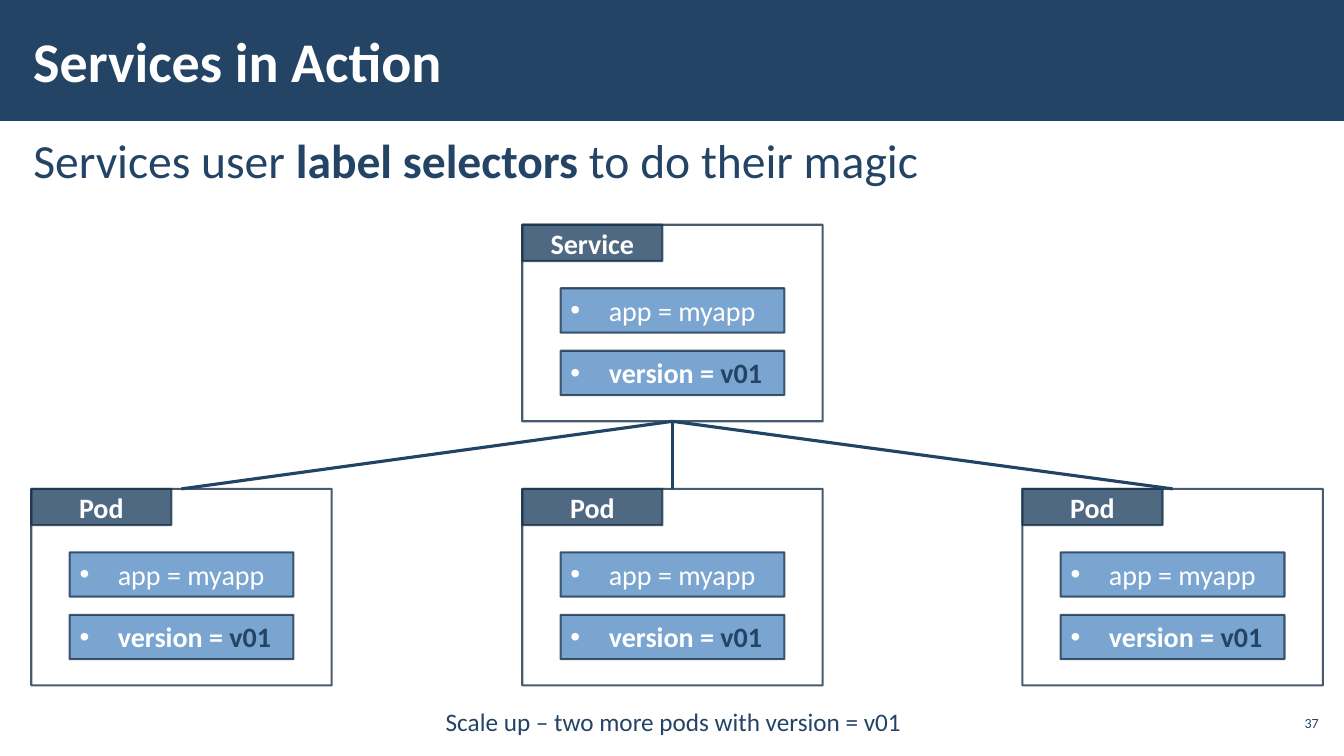
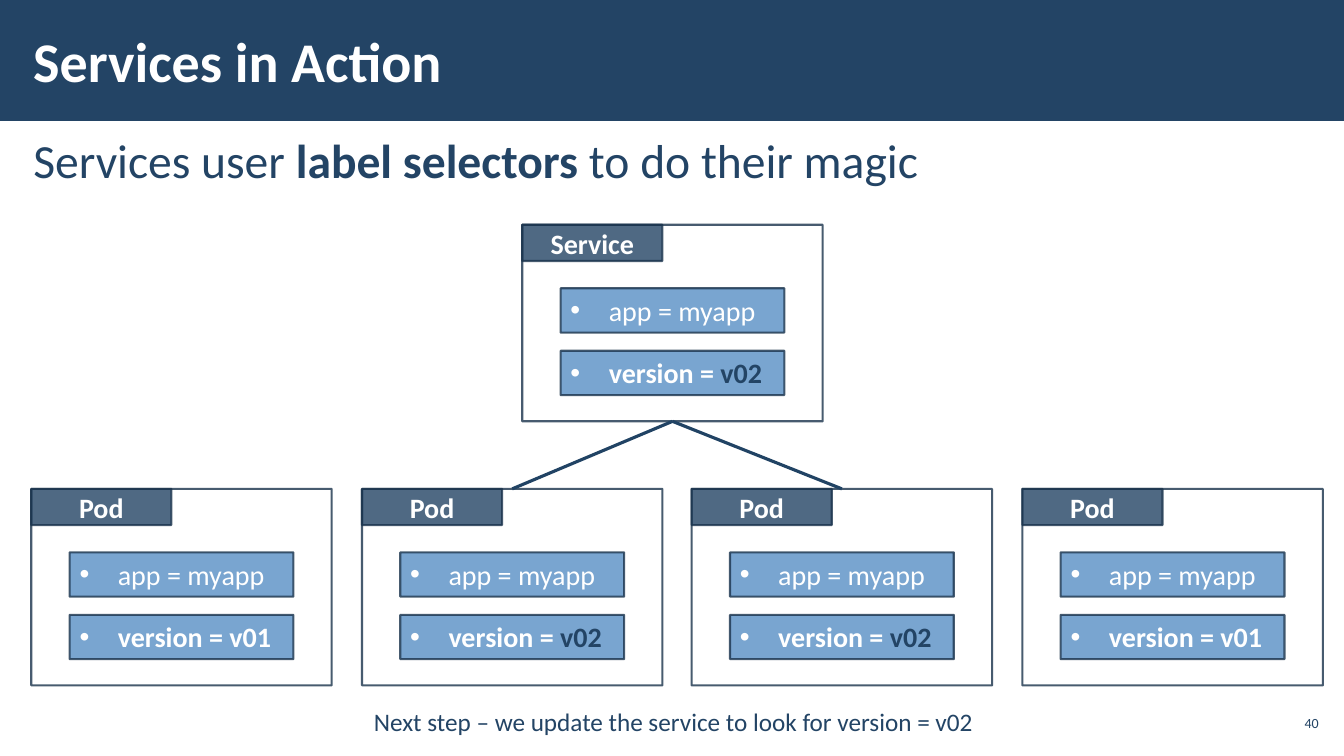
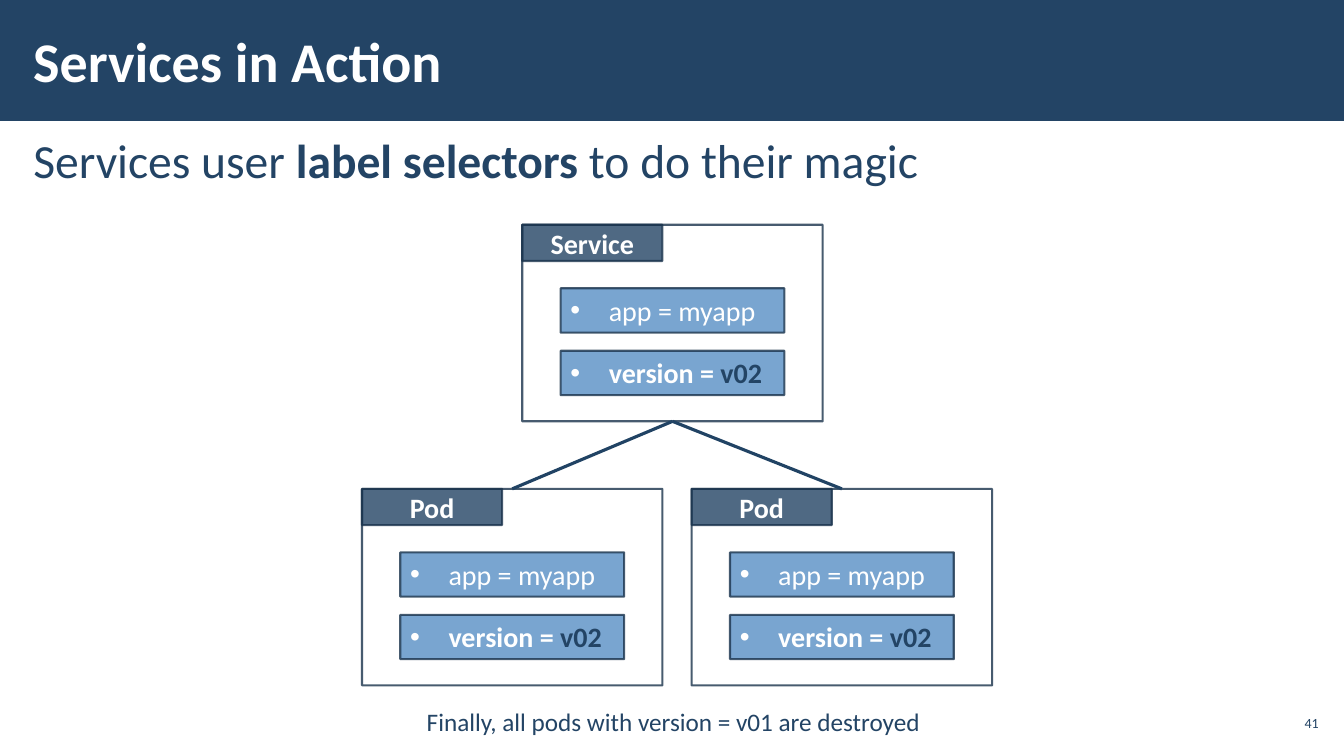
from dataclasses import dataclass

from lxml.etree import SubElement
from pptx import Presentation
from pptx.dml.color import RGBColor
from pptx.enum.shapes import MSO_CONNECTOR as Connector, MSO_SHAPE as Shape
from pptx.enum.text import MSO_ANCHOR as Anchor, MSO_AUTO_SIZE as AutoSize, PP_ALIGN as Align
from pptx.oxml.ns import qn
from pptx.util import Pt

PX = 9144  # EMU; 100 px to the inch


@dataclass(frozen=True)
class Theme:
    font: str = "Calibri"
    navy: str = "234465"
    outline: str = "1A334C"
    link: str = "214364"
    blue: str = "588FC5"
    white: str = "FFFFFF"
    opacity: int = 80
    title: int = 40
    lead: int = 34
    label: int = 20
    caption: int = 18
    number: int = 10
    outline_width: float = 1.5
    link_width: float = 2.25


THEME = Theme()

TITLE = "Services in Action"
LEAD = [("Services user ", False), ("label selectors ", True), ("to do their magic", False)]
APP = "app = myapp"

# Each pod is (slot, version); the service picks the pods with its own version.
PAGES = [
    dict(number=37, version="v01",
         pods=[("first", "v01"), ("middle", "v01"), ("fourth", "v01")],
         caption="Scale up – two more pods with version = v01"),
    dict(number=40, version="v02",
         pods=[("first", "v01"), ("second", "v02"), ("third", "v02"), ("fourth", "v01")],
         caption="Next step – we update the service to look for version = v02"),
    dict(number=41, version="v02",
         pods=[("second", "v02"), ("third", "v02")],
         caption="Finally, all pods with version = v01 are destroyed"),
]

PAGE_W, PAGE_H = 1333, 750
CARD_W, CARD_H = 298, 195
TAB_W, TAB_H = 139, 36
ROW_W, ROW_H = 222, 44
ROW_X, ROW_Y, ROW_STEP = 38, 63, 62
BULLET_INDENT = 38
SERVICE_X, SERVICE_Y, POD_Y = 518, 223, 485
FIRST_X, LAST_X = 31, 1014

SLOT_X = {slot: FIRST_X + round(i * (LAST_X - FIRST_X) / 3)
          for i, slot in enumerate(("first", "second", "third", "fourth"))}
SLOT_X["middle"] = SERVICE_X


def emu(*lengths):
    return [length * PX for length in lengths]


def rgb(code):
    return RGBColor.from_string(code)


def set_opacity(fill_parent):
    """Make the solid fill under this element see-through."""
    color = fill_parent.find(qn("a:solidFill"))[0]
    SubElement(color, qn("a:alpha"), val=str(THEME.opacity * 1000))


def add_span(para, text, size, color, bold=False):
    span = para.add_run()
    span.text = text
    font = span.font
    font.name, font.size, font.bold = THEME.font, Pt(size), bold
    font.color.rgb = rgb(color)


def add_text(page, box, margins, anchor=Anchor.TOP, align=Align.LEFT):
    """Add an empty text box and return its frame and first paragraph."""
    frame = page.shapes.add_textbox(*emu(*box)).text_frame
    frame.word_wrap = True
    frame.vertical_anchor = anchor
    side, top = emu(*margins)
    frame.margin_left = frame.margin_right = side
    frame.margin_top = frame.margin_bottom = top
    para = frame.paragraphs[0]
    para.alignment = align
    return frame, para


def add_rect(shapes, box, color):
    rect = shapes.add_shape(Shape.RECTANGLE, *emu(*box))
    rect.shadow.inherit = False
    rect.fill.solid()
    rect.fill.fore_color.rgb = rgb(color)
    rect.line.fill.background()
    return rect


def add_panel(shapes, box, color):
    """Add a translucent outlined rectangle."""
    panel = add_rect(shapes, box, color)
    panel.line.color.rgb = rgb(THEME.outline)
    panel.line.width = Pt(THEME.outline_width)
    properties = panel._element.spPr
    set_opacity(properties)
    set_opacity(properties.find(qn("a:ln")))
    return panel


def add_label_row(shapes, x, y, spans):
    frame = add_panel(shapes, (x, y, ROW_W, ROW_H), THEME.blue).text_frame
    frame.vertical_anchor = Anchor.TOP
    para = frame.paragraphs[0]
    para.alignment = Align.LEFT
    properties = para._p.get_or_add_pPr()
    indent = BULLET_INDENT * PX
    properties.set("marL", str(indent))
    properties.set("indent", str(-indent))
    SubElement(properties, qn("a:buFont"), typeface="Arial")
    SubElement(properties, qn("a:buChar"), char="•")
    for text, color, bold in spans:
        add_span(para, text, THEME.label, color, bold)


def add_card(page, name, x, y, version, selected):
    """Add a service or pod as one group and return its frame shape."""
    shapes = page.shapes.add_group_shape().shapes
    card = add_panel(shapes, (x, y, CARD_W, CARD_H), THEME.white)
    tab = add_panel(shapes, (x, y, TAB_W, TAB_H), THEME.navy).text_frame
    tab.vertical_anchor = Anchor.MIDDLE
    tab.paragraphs[0].alignment = Align.CENTER
    add_span(tab.paragraphs[0], name, THEME.label, THEME.white, True)
    version_color = THEME.navy if selected else THEME.white
    rows = [
        [(APP, THEME.white, False)],
        [("version = ", THEME.white, True), (version, version_color, True)],
    ]
    for i, spans in enumerate(rows):
        add_label_row(shapes, x + ROW_X, y + ROW_Y + i * ROW_STEP, spans)
    return card


def link(page, service, pod):
    line = page.shapes.add_connector(Connector.STRAIGHT, 0, 0, 0, 0)
    line.begin_connect(service, 2)
    line.end_connect(pod, 0)
    line.line.color.rgb = rgb(THEME.link)
    line.line.width = Pt(THEME.link_width)
    SubElement(line._element.spPr, qn("a:effectLst"))


def add_common(page, number):
    """Add the title band, title, lead sentence and page number."""
    add_rect(page.shapes, (0, 0, PAGE_W, 120), THEME.navy)
    _, para = add_text(page, (1265, 700, 47, 34), (4, 4), Anchor.MIDDLE, Align.RIGHT)
    add_span(para, str(number), THEME.number, THEME.navy)
    _, para = add_text(page, (21, 126, 1291, 609), (12, 4))
    para.space_before = para.space_after = Pt(6)
    for text, bold in LEAD:
        add_span(para, text, THEME.lead, THEME.navy, bold)
    _, para = add_text(page, (21, 11, 1063, 97), (12, 4), Anchor.MIDDLE)
    add_span(para, TITLE, THEME.title, THEME.white, True)


def add_caption(page, text):
    frame, para = add_text(page, (238, 686, 860, 56), (16, 12), align=Align.CENTER)
    frame.auto_size = AutoSize.SHAPE_TO_FIT_TEXT
    para.line_spacing = 1.1
    add_span(para, text, THEME.caption, THEME.navy)


def build_page(deck, number, version, pods, caption):
    page = deck.slides.add_slide(deck.slide_layouts[6])
    add_common(page, number)
    service = add_card(page, "Service", SERVICE_X, SERVICE_Y, version, True)
    for slot, pod_version in pods:
        selected = pod_version == version
        pod = add_card(page, "Pod", SLOT_X[slot], POD_Y, pod_version, selected)
        if selected:
            link(page, service, pod)
    add_caption(page, caption)


def main():
    deck = Presentation()
    deck.slide_width, deck.slide_height = emu(PAGE_W, PAGE_H)
    for content in PAGES:
        build_page(deck, **content)
    deck.save("out.pptx")


if __name__ == "__main__":
    main()
